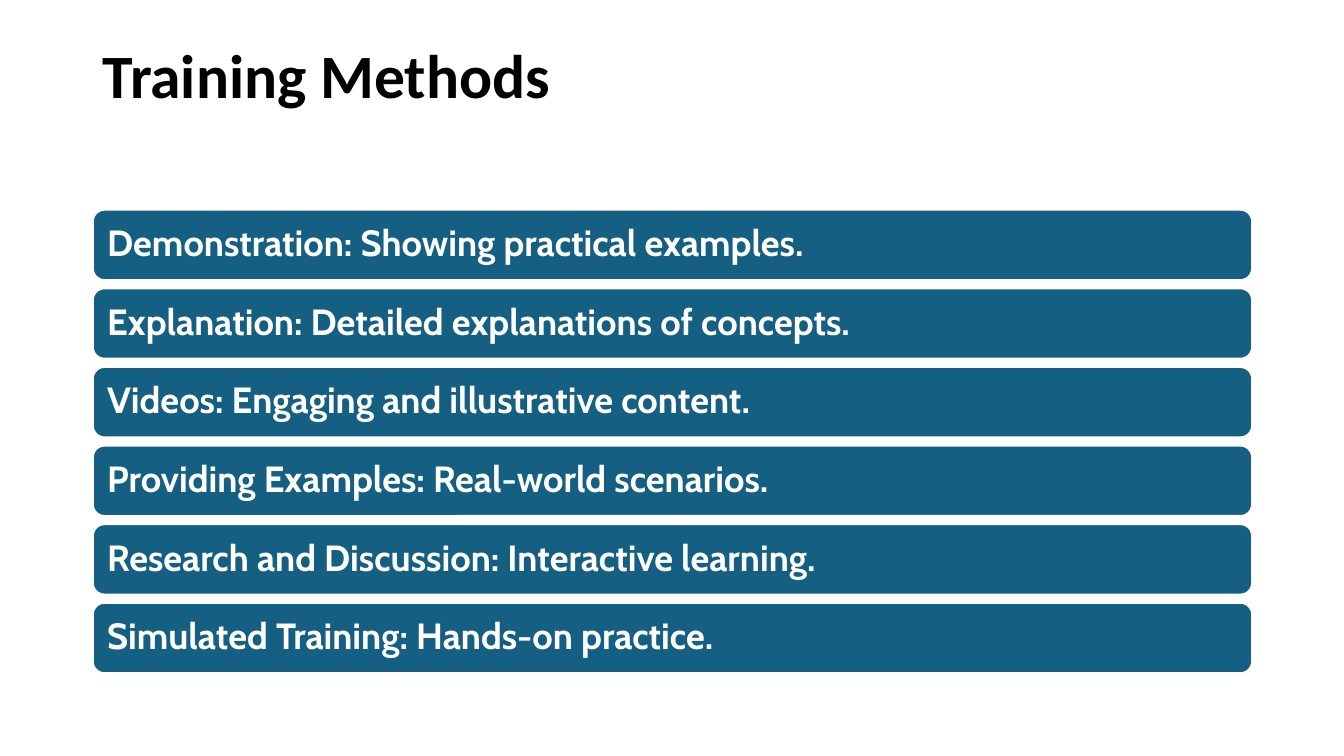
from pptx import Presentation
from pptx import util as u
from pptx.dml.color import RGBColor
from pptx.enum import shapes, text

LEFT, WIDTH = 0.92, 11.5
TOP, PITCH, HEIGHT = 2.08, 0.78, 0.7
METHODS = [
    "Demonstration: Showing practical examples.",
    "Explanation: Detailed explanations of concepts.",
    "Videos: Engaging and illustrative content.",
    "Providing Examples: Real-world scenarios.",
    "Research and Discussion: Interactive learning.",
    "Simulated Training: Hands-on practice.",
]


def color(code):
    return RGBColor.from_string(code)


class Deck:
    """Holds the style and the current slide."""
    black, white, teal = "000000", "FFFFFF", "156082"
    head, body = "Calibri", "Cabin"

    def __init__(self):
        self.show = Presentation()
        self.show.slide_width = u.Inches(13.33)
        self.show.slide_height = u.Inches(7.5)
        self.slide = self.show.slides.add_slide(self.show.slide_layouts[6])

    def label(self, shape, words, font, size, ink, anchor):
        frame = shape.text_frame
        frame.word_wrap = True
        frame.vertical_anchor = anchor
        line = frame.paragraphs[0]
        line.alignment = text.PP_ALIGN.LEFT
        line.line_spacing = 0.9
        run = line.add_run()
        run.text = words
        run.font.name = font
        run.font.size = u.Pt(size)
        run.font.bold = True
        run.font.color.rgb = color(ink)
        return frame

    def title(self, words, *box):
        shape = self.slide.shapes.add_textbox(*map(u.Inches, box))
        self.label(shape, words, self.head, 44, self.black,
                   text.MSO_ANCHOR.TOP)

    def bar(self, words, *box):
        shape = self.slide.shapes.add_shape(
            shapes.MSO_SHAPE.ROUNDED_RECTANGLE, *map(u.Inches, box))
        shape.shadow.inherit = False
        shape.fill.solid()
        shape.fill.fore_color.rgb = color(self.teal)
        shape.line.color.rgb = color(self.white)
        shape.line.width = u.Pt(1.5)
        frame = self.label(shape, words, self.body, 26, self.white,
                           text.MSO_ANCHOR.MIDDLE)
        frame.margin_left = frame.margin_right = u.Inches(0.11)


def main():
    deck = Deck()
    deck.title("Training Methods", LEFT, 0.4, WIDTH, 1.45)
    for row, method in enumerate(METHODS):
        deck.bar(method, LEFT, TOP + row * PITCH, WIDTH, HEIGHT)
    deck.show.save("out.pptx")


if __name__ == "__main__":
    main()
